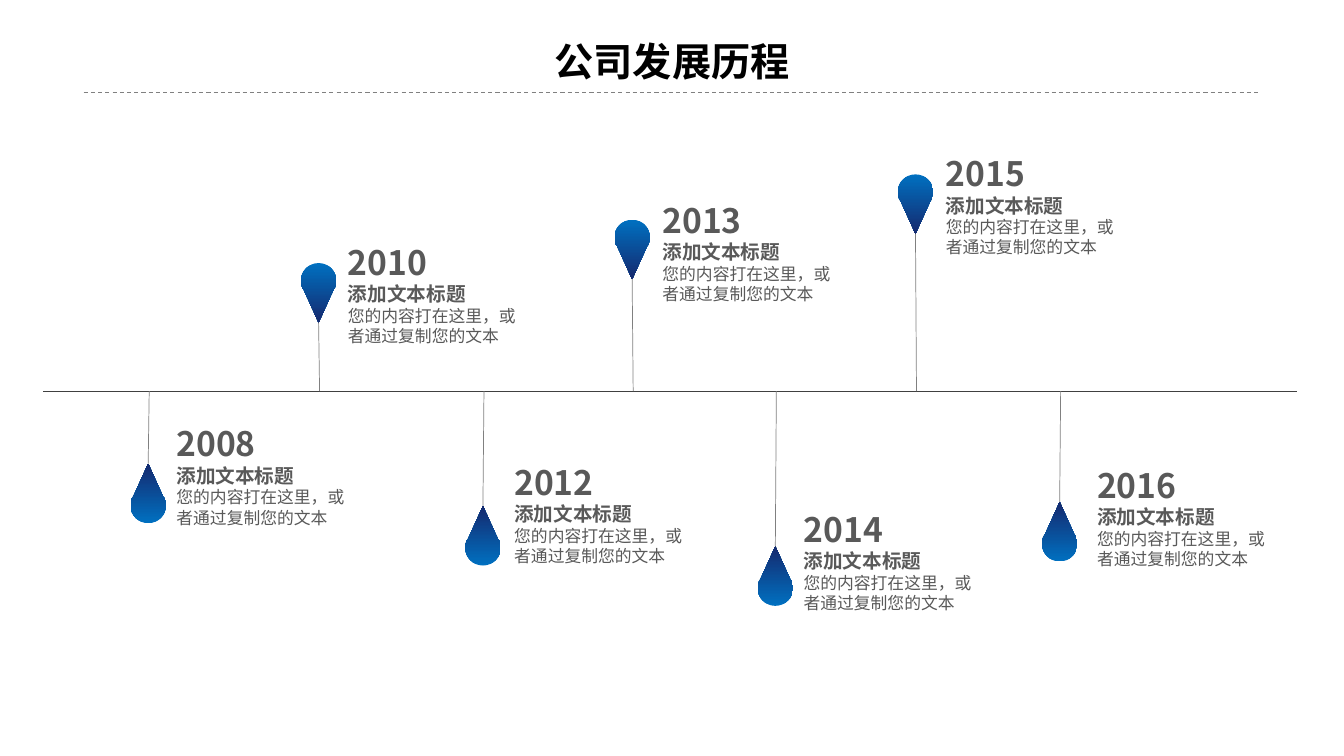
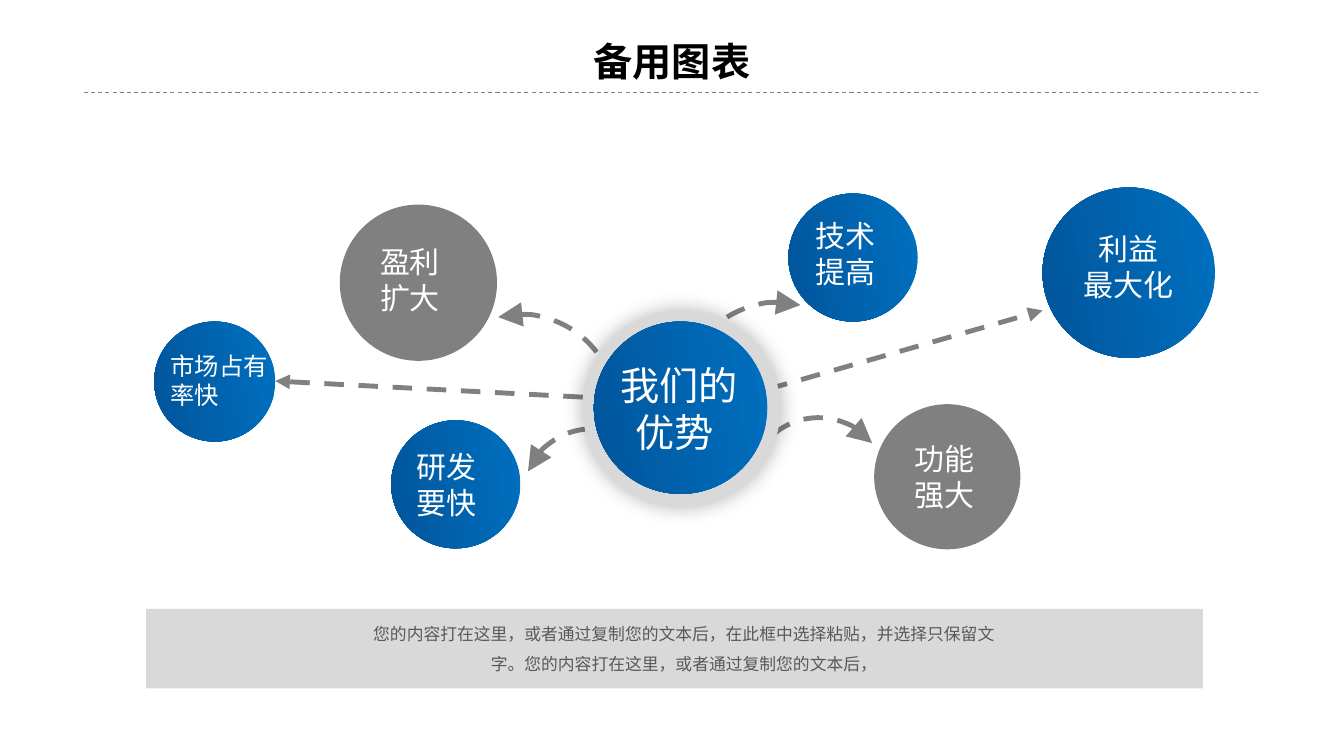
from dataclasses import dataclass

import pptx
import pptx.dml.color
import pptx.enum.dml
import pptx.enum.shapes
import pptx.enum.text
import pptx.oxml
import pptx.oxml.ns
import pptx.util

Inches = pptx.util.Inches
Pt = pptx.util.Pt
SHAPE = pptx.enum.shapes.MSO_SHAPE
ALIGN = pptx.enum.text.PP_ALIGN
NS = pptx.oxml.ns.nsdecls("a")
qn = pptx.oxml.ns.qn


@dataclass(frozen=True)
class Theme:
    """Colours, fonts and type sizes shared by the slides."""
    black: str = "000000"
    white: str = "FFFFFF"
    ink: str = "595959"
    axis: str = "404040"
    grey: str = "808080"
    pale: str = "D9D9D9"
    blue: str = "0070C0"
    navy: str = "15296E"
    deep: str = "01559B"
    font: str = "Noto Sans CJK SC"
    bubble_font: str = "Arial"
    title: float = 28
    year: float = 24
    heading: float = 14
    body: float = 12
    hub: float = 28
    bubble: float = 21.4
    small_bubble: float = 17.4


T = Theme()
BODY = "您的内容打在这里，或者通过复制您的文本"


def rgb(color):
    """Turn a hex string into a colour."""
    return pptx.dml.color.RGBColor.from_string(color)


def add_text(shapes, paras, box, inset=(0.1, 0.05), align=None, spacing=None, **fmt):
    """Add a text box; each paragraph is a string or a (string, format) pair."""
    sp = shapes.add_textbox(*map(Inches, box))
    tf = sp.text_frame
    tf.word_wrap = True
    tf.auto_size = pptx.enum.text.MSO_AUTO_SIZE.SHAPE_TO_FIT_TEXT
    tf.margin_left = tf.margin_right = Inches(inset[0])
    tf.margin_top = tf.margin_bottom = Inches(inset[1])
    for i, para in enumerate(paras):
        text, own = (para, {}) if isinstance(para, str) else para
        f = {"size": T.body, "color": T.ink, "bold": False, "font": T.font, **fmt, **own}
        p = tf.paragraphs[0] if i == 0 else tf.add_paragraph()
        p.alignment = align
        p.line_spacing = spacing
        r = p.add_run()
        r.text = text
        r.font.size = Pt(f["size"])
        r.font.bold = f["bold"]
        r.font.color.rgb = rgb(f["color"])
        r.font.name = f["font"]
        ea = pptx.oxml.parse_xml(f'<a:ea {NS} typeface="{T.font}"/>')
        r.font._element.append(ea)
    return sp


def paint(sp, color, end=None, angle=0):
    """Fill a shape plainly, or with a gradient at a clockwise angle."""
    sp.shadow.inherit = False
    sp.line.fill.background()
    if end is None:
        sp.fill.solid()
        sp.fill.fore_color.rgb = rgb(color)
        return
    sp.fill.gradient()
    sp.fill.gradient_angle = 360 - angle
    for stop, c in zip(sp.fill.gradient_stops, (color, end)):
        stop.color.rgb = rgb(c)


def style_line(sp, color, width, dashed=False, arrow=None, arrow_size="med"):
    """Style an outline, with an optional arrow at headEnd or tailEnd."""
    sp.line.color.rgb = rgb(color)
    sp.line.width = Pt(width)
    if dashed:
        sp.line.dash_style = pptx.enum.dml.MSO_LINE.DASH
    if arrow:
        ln = sp.line._get_or_add_ln()
        ln.append(pptx.oxml.parse_xml(
            f'<a:{arrow} {NS} type="triangle" w="{arrow_size}" len="{arrow_size}"/>'))


def add_line(shapes, start, end, color, width, **style):
    """Draw a straight line between two points."""
    kind = pptx.enum.shapes.MSO_CONNECTOR.STRAIGHT
    c = shapes.add_connector(kind, *map(Inches, (*start, *end)))
    style_line(c, color, width, **style)
    c._element.spPr.append(pptx.oxml.parse_xml(f"<a:effectLst {NS}/>"))


def add_oval(shapes, box, *colors):
    """Draw a filled circle."""
    sp = shapes.add_shape(SHAPE.OVAL, *map(Inches, box))
    paint(sp, *colors, angle=170)
    return sp


def add_titled_slide(prs, title):
    """Add a blank slide with the shared title and dashed rule."""
    s = prs.slides.add_slide(prs.slide_layouts[6])
    add_text(s.shapes, [title], (3.91, 0.32, 5.51, 0.57), align=ALIGN.CENTER,
             size=T.title, color=T.black, bold=True)
    add_line(s.shapes, (0.83, 0.92), (12.5, 0.92), T.grey, 0.75, dashed=True)
    return s


def bend(segments):
    """Merge each three line segments into one cubic curve."""
    for i in range(0, len(segments), 3):
        curve = pptx.oxml.parse_xml(f"<a:cubicBezTo {NS}/>")
        segments[i].addprevious(curve)
        for segment in segments[i:i + 3]:
            curve.append(segment[0])
            segment.getparent().remove(segment)


def add_pin(shapes, cx, top, axis):
    """Draw a drop whose tip points at the axis, and its stem."""
    height = 0.59
    above = top < axis
    sign = 1 if above else -1
    base = top if above else top + height
    tip = base + sign * height
    side = [(0, 0), (0.1, 0), (0.175, 0.08), (0.175, 0.175),
            (0.175, 0.2), (0.17, 0.23), (0.16, 0.25), (0.15, 0.26)]
    outline = [*side, (0, height), *[(-x, y) for x, y in reversed(side)]]
    points = [(Inches(cx + x), Inches(base + sign * y)) for x, y in outline]
    group = shapes.add_group_shape().shapes
    fb = group.build_freeform(*points[0])
    fb.add_line_segments(points[1:])
    drop = fb.convert_to_shape()
    segments = list(drop._element.iter(qn("a:lnTo")))
    bend(segments[:6])
    bend(segments[10:16])
    paint(drop, T.blue, T.navy, 90 if above else 270)
    add_line(group, (cx, tip), (cx + 0.01, axis), T.grey, 0.5)


def add_milestone_label(shapes, year, left, top):
    """Write the year, heading and body of a milestone."""
    paras = [(year, {"size": T.year, "bold": True}),
             ("添加文本标题", {"size": T.heading, "bold": True}), BODY]
    add_text(shapes, paras, (left, top, 1.91, 1.13), inset=(0.09, 0.04))


def build_history(prs):
    """Build the company timeline."""
    shapes = add_titled_slide(prs, "公司发展历程").shapes
    axis = 3.88
    add_line(shapes, (0.43, axis), (12.86, axis), T.axis, 0.5)
    milestones = [
        ("2008", 1.47, 4.6, 1.66, 4.16),
        ("2010", 3.16, 2.61, 3.36, 2.36),
        ("2012", 4.79, 5.02, 5.01, 4.54),
        ("2013", 6.27, 2.18, 6.48, 1.94),
        ("2014", 7.69, 5.42, 7.88, 5.01),
        ("2015", 9.08, 1.73, 9.29, 1.48),
        ("2016", 10.51, 4.98, 10.79, 4.57),
    ]
    for _, cx, top, _, _ in milestones:
        add_pin(shapes, cx, top, axis)
    for year, _, _, left, top in milestones:
        add_milestone_label(shapes, year, left, top)


def add_bubble(group, box, colors, paras, label, size=T.bubble, align=None):
    """Draw a circle with a label placed relative to its corner."""
    add_oval(group, box, *colors)
    dx, dy, w, h = label
    add_text(group, paras, (box[0] + dx, box[1] + dy, w, h), inset=(0, 0),
             align=align, size=size, color=T.white, font=T.bubble_font)


def add_arc_arrow(shapes, box, rotation, flip):
    """Draw a dashed quarter arc with an arrowhead at its start."""
    sp = shapes.add_shape(SHAPE.ARC, *map(Inches, box))
    sp.shadow.inherit = False
    sp.fill.background()
    sp.rotation = rotation
    if flip:
        sp._element.spPr.xfrm.set("flipH", "1")
    style_line(sp, T.grey, 3.5, dashed=True, arrow="headEnd", arrow_size="lg")


def add_hub(shapes, left, top):
    """Draw the central circle with its shadowed ring."""
    group = shapes.add_group_shape().shapes
    ring = add_oval(group, (left, top, 1.96, 1.95), T.pale)
    ring._element.spPr.find(qn("a:effectLst")).append(pptx.oxml.parse_xml(
        f'<a:outerShdw {NS} blurRad="{Pt(15)}" dist="0" dir="5400000" rotWithShape="0">'
        f'<a:srgbClr val="{T.black}"><a:alpha val="30000"/></a:srgbClr></a:outerShdw>'))
    add_bubble(group, (left + 0.11, top + 0.11, 1.72, 1.71), (T.blue, T.deep),
               ["我们的优势 "], (0.23, 0.39, 1.23, 0.94), T.hub, ALIGN.CENTER)


def add_note_band(shapes, left, top):
    """Draw the grey band with its centred note."""
    group = shapes.add_group_shape().shapes
    band = group.add_shape(SHAPE.RECTANGLE, *map(Inches, (left, top, 10.48, 0.79)))
    paint(band, T.pale)
    note = f"{BODY}后，在此框中选择粘贴，并选择只保留文字。{BODY}后，"
    add_text(group, [note], (left + 2.12, top, 6.43, 1.01),
             align=ALIGN.CENTER, spacing=1.5)


def build_advantages(prs):
    """Build the diagram of advantages around a hub."""
    shapes = add_titled_slide(prs, "备用图表").shapes
    blue, grey = (T.blue, T.deep), (T.grey,)
    bubbles = [
        ((3.37, 2.03, 1.56, 1.55), grey, ["盈利", "扩大"], (0.4, 0.39, 0.8, 0.72)),
        ((1.53, 3.19, 1.2, 1.19), blue, ["市场占有率快"], (0.16, 0.29, 0.98, 0.58),
         T.small_bubble),
        ((3.88, 4.17, 1.28, 1.27), blue, ["研发要快"], (0.25, 0.28, 0.8, 0.72)),
        ((7.82, 1.92, 1.28, 1.27), blue, ["技术提高"], (0.27, 0.24, 0.8, 0.72)),
        ((8.67, 4.01, 1.45, 1.44), grey, ["功能强大"], (0.4, 0.36, 0.8, 0.72)),
        ((10.34, 1.86, 1.71, 1.69), blue, ["利益", "最大化"], (0.24, 0.43, 1.23, 0.72),
         T.bubble, ALIGN.CENTER),
    ]
    for bubble in bubbles:
        add_bubble(shapes.add_group_shape().shapes, *bubble)
    arcs = [
        ((4.21, 3.12, 1.9, 1.89), 346.6, False),
        ((5.19, 4.25, 1.37, 1.38), 292.5, False),
        ((6.77, 3, 1.9, 1.89), 13.4, True),
        ((7.43, 4.14, 1.37, 1.38), 50.9, True),
    ]
    for arc in arcs:
        add_arc_arrow(shapes, *arc)
    for start, end in [((5.78, 3.94), (2.73, 3.78)), ((7.62, 3.86), (10.34, 3.08))]:
        add_line(shapes, start, end, T.grey, 3.5, dashed=True, arrow="tailEnd")
    add_hub(shapes, 5.78, 3.08)
    add_note_band(shapes, 1.45, 6.04)


def main():
    """Build and save the presentation."""
    prs = pptx.Presentation()
    prs.slide_width = Inches(13.33)
    prs.slide_height = Inches(7.5)
    build_history(prs)
    build_advantages(prs)
    prs.save("out.pptx")


if __name__ == "__main__":
    main()
